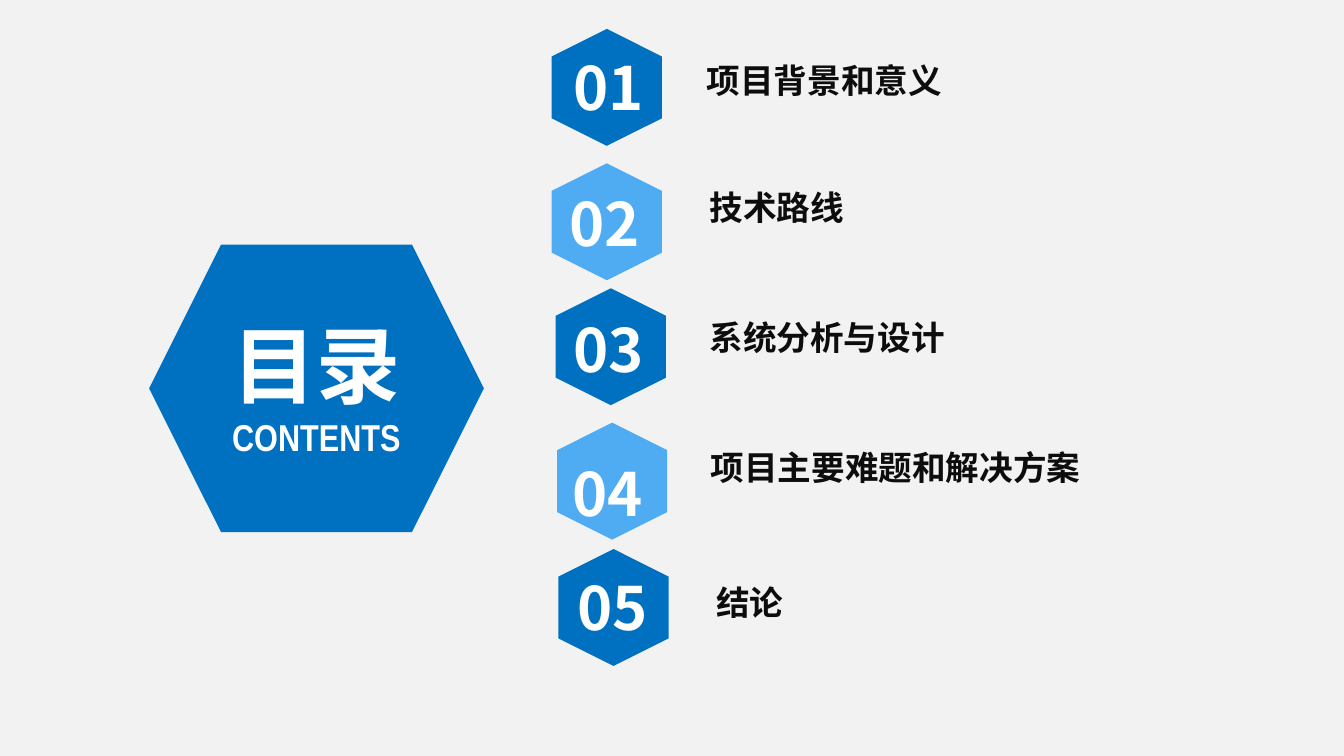
from pptx import Presentation
from pptx.dml.color import RGBColor
from pptx.enum.shapes import MSO_SHAPE
from pptx.enum.text import MSO_ANCHOR, MSO_AUTO_SIZE, PP_ALIGN
from pptx.oxml.ns import qn
from pptx.util import Inches, Pt

HEXAGON = MSO_SHAPE.HEXAGON
TOP = MSO_ANCHOR.TOP
FIT_SHAPE = MSO_AUTO_SIZE.SHAPE_TO_FIT_TEXT
LEFT, CENTER = PP_ALIGN.LEFT, PP_ALIGN.CENTER

BACKGROUND = RGBColor(0xF2, 0xF2, 0xF2)
BLUE = RGBColor(0x00, 0x70, 0xC0)
LIGHT_BLUE = RGBColor(0x4F, 0xAC, 0xF3)
WHITE = RGBColor(0xFF, 0xFF, 0xFF)
INK = RGBColor(0x0D, 0x0D, 0x0D)

CJK_FONT = "Noto Sans CJK SC"
BADGE_SIZE = (0.87, 0.82)
NUMBER_SIZE = (0.76, 0.64)

ENTRIES = [
    ("项目背景和意义", (4.08, 0.24), (4.17, 0.33), (5.16, 0.4, 2.21, 0.4)),
    ("技术路线", (4.08, 1.24), (4.14, 1.34), (5.18, 1.34, 2.21, 0.4)),
    ("系统分析与设计", (4.11, 2.17), (4.17, 2.28), (5.18, 2.31, 2.21, 0.4)),
    ("项目主要难题和解决方案", (4.12, 3.17), (4.16, 3.35), (5.19, 3.28, 3.12, 0.4)),
    ("结论", (4.13, 4.11), (4.2, 4.2), (5.23, 4.28, 3.12, 0.4)),
]


def inches(box):
    """Convert a sequence of numbers to lengths."""
    return [Inches(value) for value in box]


def add_hexagon(slide, box, color, rotation=0):
    """Add a plain filled hexagon."""
    shape = slide.shapes.add_shape(HEXAGON, *inches(box))
    shape.rotation = rotation
    shape.shadow.inherit = False
    shape.fill.solid()
    shape.fill.fore_color.rgb = color
    shape.line.fill.background()
    return shape


def format_paragraph(paragraph, size, color, name, alignment=LEFT):
    """Set the bold font of a paragraph for Latin and East Asian text."""
    paragraph.alignment = alignment
    font = paragraph.font
    font.size, font.bold, font.name = Pt(size), True, name
    font.color.rgb = color
    properties = paragraph._p.pPr.find(qn("a:defRPr"))
    east_asian = properties.makeelement(qn("a:ea"), {"typeface": CJK_FONT})
    properties.find(qn("a:latin")).addnext(east_asian)


def add_text(slide, box, text, size, color, name, wrap):
    """Add a one-paragraph text box."""
    frame = slide.shapes.add_textbox(*inches(box)).text_frame
    frame.word_wrap = wrap
    frame.auto_size = FIT_SHAPE
    frame.text = text
    format_paragraph(frame.paragraphs[0], size, color, name)


def add_heading(slide, hexagon_box, title_box):
    """Place the title over the large hexagon."""
    title = slide.shapes.title
    hexagon = add_hexagon(slide, hexagon_box, BLUE)
    title._element.addprevious(hexagon._element)
    title.left, title.top, title.width, title.height = inches(title_box)
    frame = title.text_frame
    frame.text = "目录\nCONTENTS"
    frame.word_wrap = False
    frame.auto_size = FIT_SHAPE
    frame.vertical_anchor = TOP
    styles = [(45, CJK_FONT), (20, "Arial Narrow")]
    for paragraph, (size, name) in zip(frame.paragraphs, styles):
        format_paragraph(paragraph, size, WHITE, name, CENTER)


def add_entry(slide, index, label, badge, number, label_box):
    """Place one numbered badge and its label."""
    color = LIGHT_BLUE if index % 2 == 0 else BLUE
    add_hexagon(slide, badge + BADGE_SIZE, color, 270)
    add_text(slide, number + NUMBER_SIZE, f"{index:02d}", 32, WHITE, CJK_FONT, False)
    add_text(slide, label_box, label, 18, INK, "Arial", True)


def main():
    """Build the contents slide."""
    presentation = Presentation()
    presentation.slide_width = Inches(10)
    presentation.slide_height = Inches(10 * 9 / 16)
    slide = presentation.slides.add_slide(presentation.slide_layouts[5])
    slide.background.fill.solid()
    slide.background.fill.fore_color.rgb = BACKGROUND
    add_heading(slide, (1.11, 1.82, 2.49, 2.14), (1.48, 2.28, 1.75, 1.19))
    for index, entry in enumerate(ENTRIES, 1):
        add_entry(slide, index, *entry)
    presentation.save("out.pptx")


if __name__ == "__main__":
    main()
